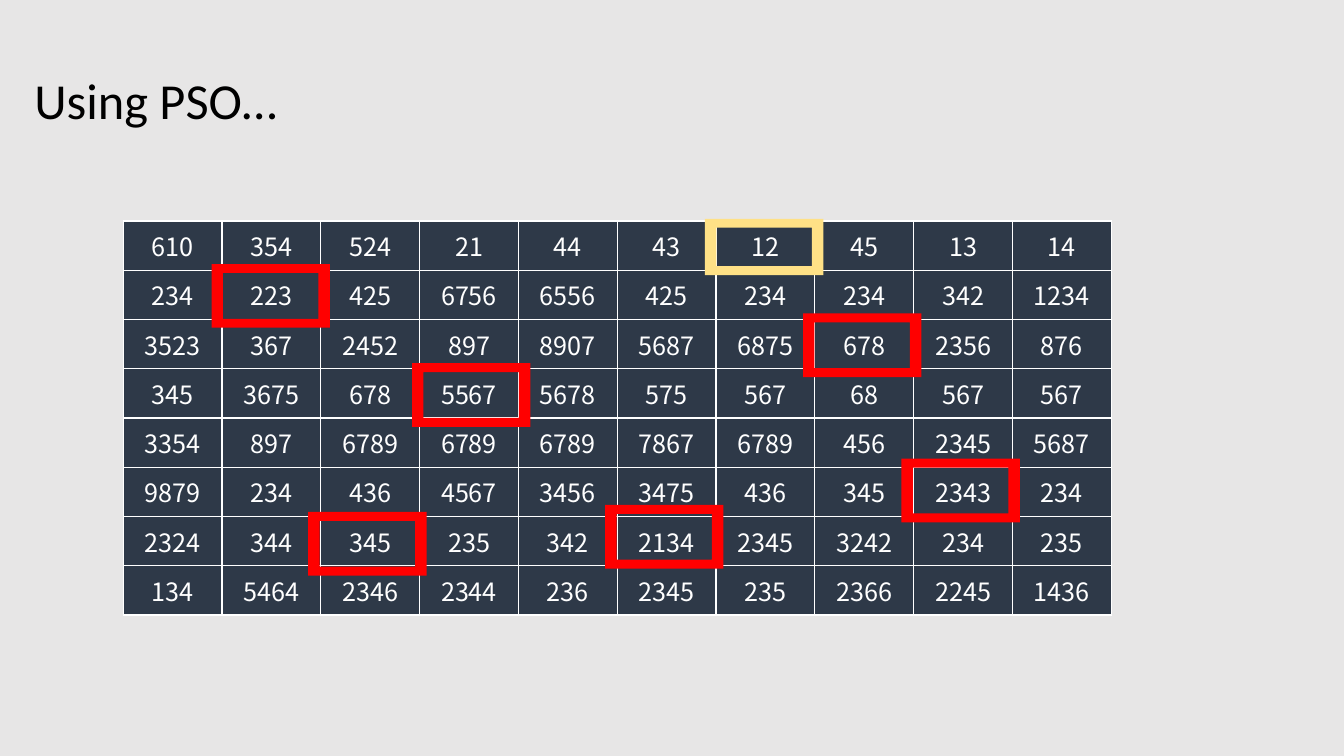
from lxml import etree
from pptx import Presentation
from pptx import util as u
from pptx.dml import color
from pptx.enum import text
from pptx.oxml import ns

TITLE = "Using PSO…"
GRID = [
    (610, 354, 524, 21, 44, 43, 12, 45, 13, 14),
    (234, 223, 425, 6756, 6556, 425, 234, 234, 342, 1234),
    (3523, 367, 2452, 897, 8907, 5687, 6875, 678, 2356, 876),
    (345, 3675, 678, 5567, 5678, 575, 567, 68, 567, 567),
    (3354, 897, 6789, 6789, 6789, 7867, 6789, 456, 2345, 5687),
    (9879, 234, 436, 4567, 3456, 3475, 436, 345, 2343, 234),
    (2324, 344, 345, 235, 342, 2134, 2345, 3242, 234, 235),
    (134, 5464, 2346, 2344, 236, 2345, 235, 2366, 2245, 1436),
]
RED, GOLD, NAVY, WHITE = "FF0000", "FFE186", "2E3948", "FFFFFF"
FRAMES = [
    (294.3, 259.4, 45.5, RED),
    (573.6, 223.9, 45.5, RED),
    (432.2, 360.7, 45.5, RED),
    (220.1, 365.6, 45.5, RED),
    (643.9, 327.6, 45.5, RED),
    (151.1, 188.6, 45.5, RED),
    (503.5, 156.3, 40.3, GOLD),
]
FRAME_WIDTH, SIDE, EDGE = 84.6, 8.2, 6.4
GRID_LEFT, GRID_TOP, COLUMN, ROW = 88, 157.8, 70.6, 35.2


def paint(fill, shade):
    fill.solid()
    fill.fore_color.rgb = color.RGBColor.from_string(shade)


def write(paragraph, words, font, size, shade):
    run = paragraph.add_run()
    run.text = words
    run.font.name = font
    run.font.size = u.Pt(size)
    paint(run.font.fill, shade)


def add_borders(cell, shade, width):
    properties = cell._tc.get_or_add_tcPr()
    for side in ("a:lnL", "a:lnR", "a:lnT", "a:lnB"):
        line = etree.SubElement(properties, ns.qn(side), w=str(u.Pt(width)))
        solid = etree.SubElement(line, ns.qn("a:solidFill"))
        etree.SubElement(solid, ns.qn("a:srgbClr"), val=shade)


def add_frame(slide, left, top, height, shade):
    right, bottom = left + FRAME_WIDTH, top + height
    x1, x2, y1, y2 = left + SIDE, right - SIDE, top + EDGE, bottom - EDGE
    outer = [(left, top), (right, top), (right, bottom), (left, bottom)]
    inner = [(x1, y1), (x1, y2), (x2, y2), (x2, y1)]
    outer, inner = ([(u.Pt(x), u.Pt(y)) for x, y in ring] for ring in (outer, inner))
    outline = slide.shapes.build_freeform(*inner[0])
    outline.add_line_segments(inner[1:], close=True)
    outline.move_to(*outer[0])
    outline.add_line_segments(outer[1:], close=True)
    frame = outline.convert_to_shape()
    frame.shadow.inherit = False
    paint(frame.fill, shade)
    frame.line.fill.background()


deck = Presentation()
deck.slide_width, deck.slide_height = u.Pt(960), u.Pt(540)
slide = deck.slides.add_slide(deck.slide_layouts[6])
paint(slide.background.fill, "E7E6E6")

rows, columns = len(GRID), len(GRID[0])
grid = slide.shapes.add_table(rows, columns, u.Pt(GRID_LEFT), u.Pt(GRID_TOP),
                              u.Pt(COLUMN * columns), u.Pt(ROW * rows)).table
grid.first_row = grid.horz_banding = False
for column in grid.columns:
    column.width = u.Pt(COLUMN)
for r, values in enumerate(GRID):
    grid.rows[r].height = u.Pt(ROW)
    for c, value in enumerate(values):
        cell = grid.cell(r, c)
        add_borders(cell, WHITE, 1)
        paint(cell.fill, NAVY)
        cell.vertical_anchor = text.MSO_ANCHOR.MIDDLE
        paragraph = cell.text_frame.paragraphs[0]
        paragraph.alignment = text.PP_ALIGN.CENTER
        write(paragraph, str(value), "Noto Sans CJK JP", 18, WHITE)

title = slide.shapes.add_textbox(u.Pt(17.5), u.Pt(45.5), u.Pt(805), u.Pt(51)).text_frame
title.word_wrap = True
write(title.paragraphs[0], TITLE, "Calibri", 36, "000000")

for frame in FRAMES:
    add_frame(slide, *frame)

deck.save("out.pptx")
